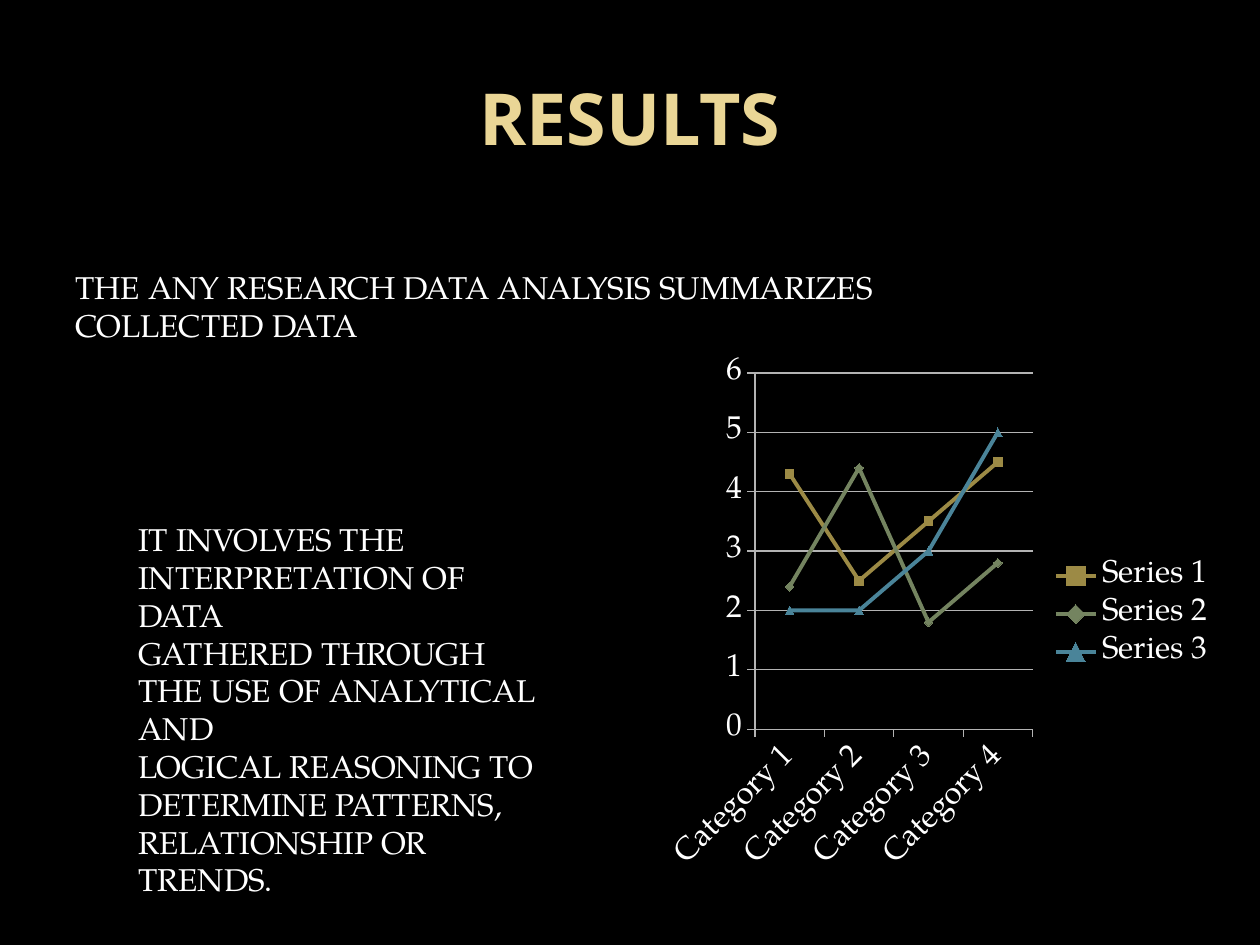
import pptx
import pptx.chart.data
import pptx.dml.color
import pptx.enum.chart
import pptx.enum.text
import pptx.util

Inches = pptx.util.Inches
Pt = pptx.util.Pt
RGBColor = pptx.dml.color.RGBColor
Marker = pptx.enum.chart.XL_MARKER_STYLE

BLACK = RGBColor(0x00, 0x00, 0x00)
WHITE = RGBColor(0xFF, 0xFF, 0xFF)
GOLD = RGBColor(0xEA, 0xD6, 0x96)
GRID_GREY = RGBColor(0xB3, 0xB3, 0xB3)
OCHRE = RGBColor(0x9C, 0x8A, 0x45)
SAGE = RGBColor(0x74, 0x84, 0x60)
TEAL = RGBColor(0x4A, 0x84, 0x99)

SUMMARY = ["THE ANY RESEARCH DATA ANALYSIS SUMMARIZES COLLECTED DATA"]
INTERPRETATION = [
    "IT INVOLVES THE INTERPRETATION OF DATA",
    "GATHERED THROUGH THE USE OF ANALYTICAL AND",
    "LOGICAL REASONING TO DETERMINE PATTERNS,",
    "RELATIONSHIP OR TRENDS.",
]
CATEGORIES = ["Category 1", "Category 2", "Category 3", "Category 4"]
SERIES = [
    ("Series 1", (4.3, 2.5, 3.5, 4.5), OCHRE, Marker.SQUARE),
    ("Series 2", (2.4, 4.4, 1.8, 2.8), SAGE, Marker.DIAMOND),
    ("Series 3", (2, 2, 3, 5), TEAL, Marker.TRIANGLE),
]


def write_text(paragraph, text, *, font, size, color, bold=False,
               align=pptx.enum.text.PP_ALIGN.LEFT):
    paragraph.alignment = align
    run = paragraph.add_run()
    run.text = text
    run.font.name = font
    run.font.size = Pt(size)
    run.font.bold = bold
    run.font.color.rgb = color


class SlideBuilder:
    heading_font = "Open Sans"
    body_font = "TeX Gyre Pagella"
    body_size = 18

    def __init__(self, slide):
        self.slide = slide

    def background(self, color):
        fill = self.slide.background.fill
        fill.solid()
        fill.fore_color.rgb = color

    def text_box(self, lines, left, top, width, height,
                 anchor=pptx.enum.text.MSO_ANCHOR.TOP, **text_format):
        """Add a wrapped box with one paragraph for each line."""
        shape = self.slide.shapes.add_textbox(
            Inches(left), Inches(top), Inches(width), Inches(height))
        frame = shape.text_frame
        frame.word_wrap = True
        frame.vertical_anchor = anchor
        style = {"font": self.body_font, "size": self.body_size,
                 "color": WHITE, **text_format}
        for index, line in enumerate(lines):
            paragraph = frame.add_paragraph() if index else frame.paragraphs[0]
            write_text(paragraph, line, **style)

    def title(self, text):
        self.text_box([text], 0.5, 0.3, 9, 1.25,
                      anchor=pptx.enum.text.MSO_ANCHOR.MIDDLE,
                      font=self.heading_font, size=41, color=GOLD, bold=True,
                      align=pptx.enum.text.PP_ALIGN.CENTER)

    def line_chart(self, categories, series, left, top, width, height):
        data = pptx.chart.data.CategoryChartData()
        data.categories = categories
        for name, values, _, _ in series:
            data.add_series(name, values)
        chart = self.slide.shapes.add_chart(
            pptx.enum.chart.XL_CHART_TYPE.LINE_MARKERS,
            Inches(left), Inches(top), Inches(width), Inches(height),
            data).chart
        chart.has_title = False
        chart.font.name = self.body_font
        chart.font.size = Pt(self.body_size)
        chart.font.color.rgb = WHITE
        chart.has_legend = True
        chart.legend.position = pptx.enum.chart.XL_LEGEND_POSITION.RIGHT
        chart.legend.include_in_layout = False
        chart.plots[0].vary_by_categories = False
        self.style_axes(chart)
        for line, (_, _, color, marker) in zip(chart.plots[0].series, series):
            self.style_series(line, color, marker)

    def style_axes(self, chart):
        value_axis = chart.value_axis
        value_axis.minimum_scale = 0
        value_axis.maximum_scale = 6
        value_axis.major_unit = 1
        value_axis.has_major_gridlines = True
        for axis in (chart.category_axis, value_axis):
            axis.major_tick_mark = pptx.enum.chart.XL_TICK_MARK.OUTSIDE
            axis.minor_tick_mark = pptx.enum.chart.XL_TICK_MARK.NONE
        for item in (chart.category_axis, value_axis,
                     value_axis.major_gridlines):
            item.format.line.color.rgb = GRID_GREY
            item.format.line.width = Pt(0.75)

    def style_series(self, series, color, marker):
        series.smooth = False
        series.format.line.color.rgb = color
        series.format.line.width = Pt(2.25)
        series.marker.style = marker
        series.marker.size = 5
        series.marker.format.fill.solid()
        series.marker.format.fill.fore_color.rgb = color
        series.marker.format.line.color.rgb = color


def main():
    presentation = pptx.Presentation()
    presentation.slide_width = Inches(10)
    presentation.slide_height = Inches(7.5)
    blank_layout = presentation.slide_layouts[6]
    builder = SlideBuilder(presentation.slides.add_slide(blank_layout))
    builder.background(BLACK)
    builder.title("RESULTS")
    builder.text_box(SUMMARY, 0.5, 2.08, 7.92, 0.71)
    builder.text_box(INTERPRETATION, 1, 4.08, 3.5, 2.14)
    builder.line_chart(CATEGORIES, SERIES, 5.25, 2.75, 4.5, 4.25)
    presentation.save("out.pptx")


if __name__ == "__main__":
    main()
